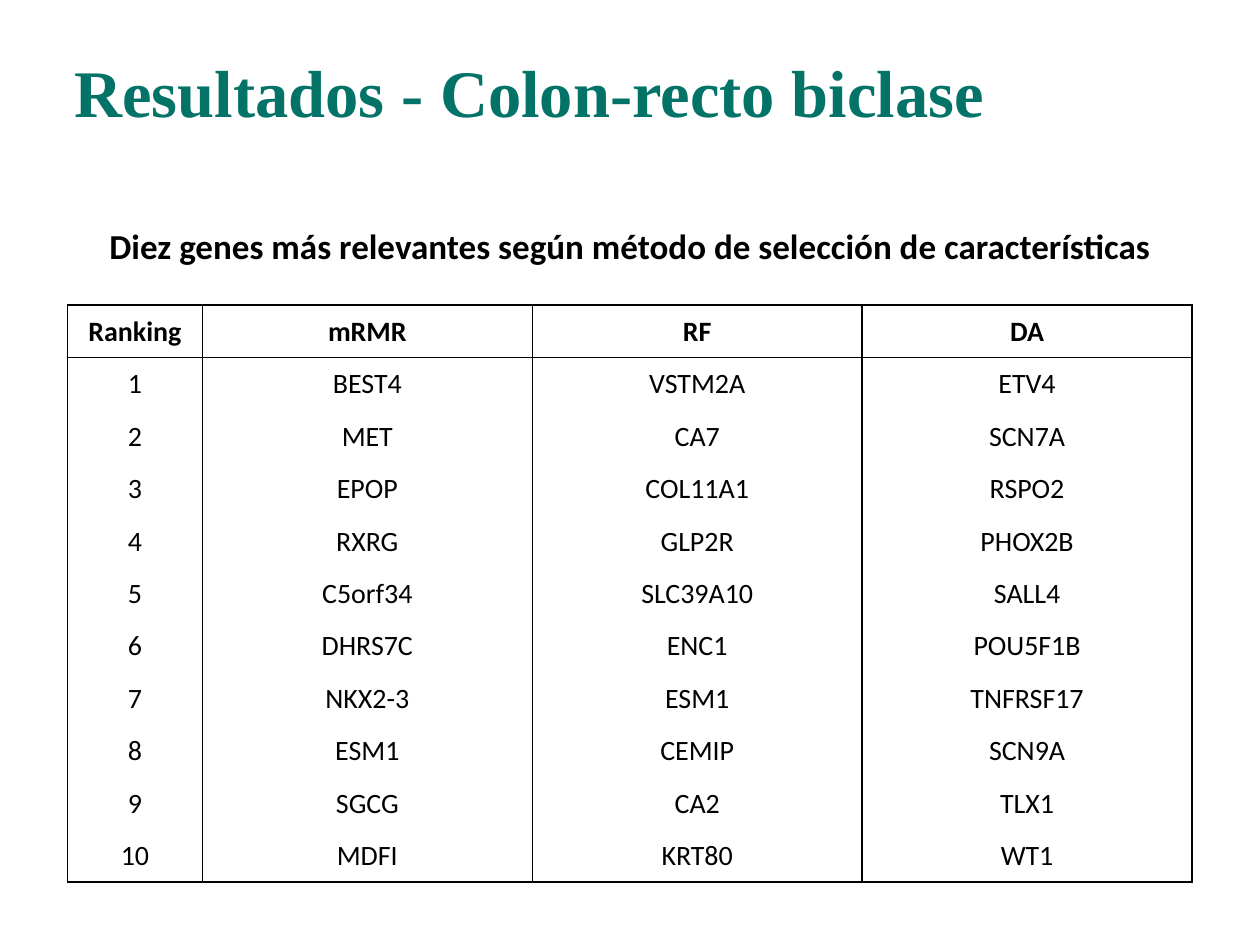
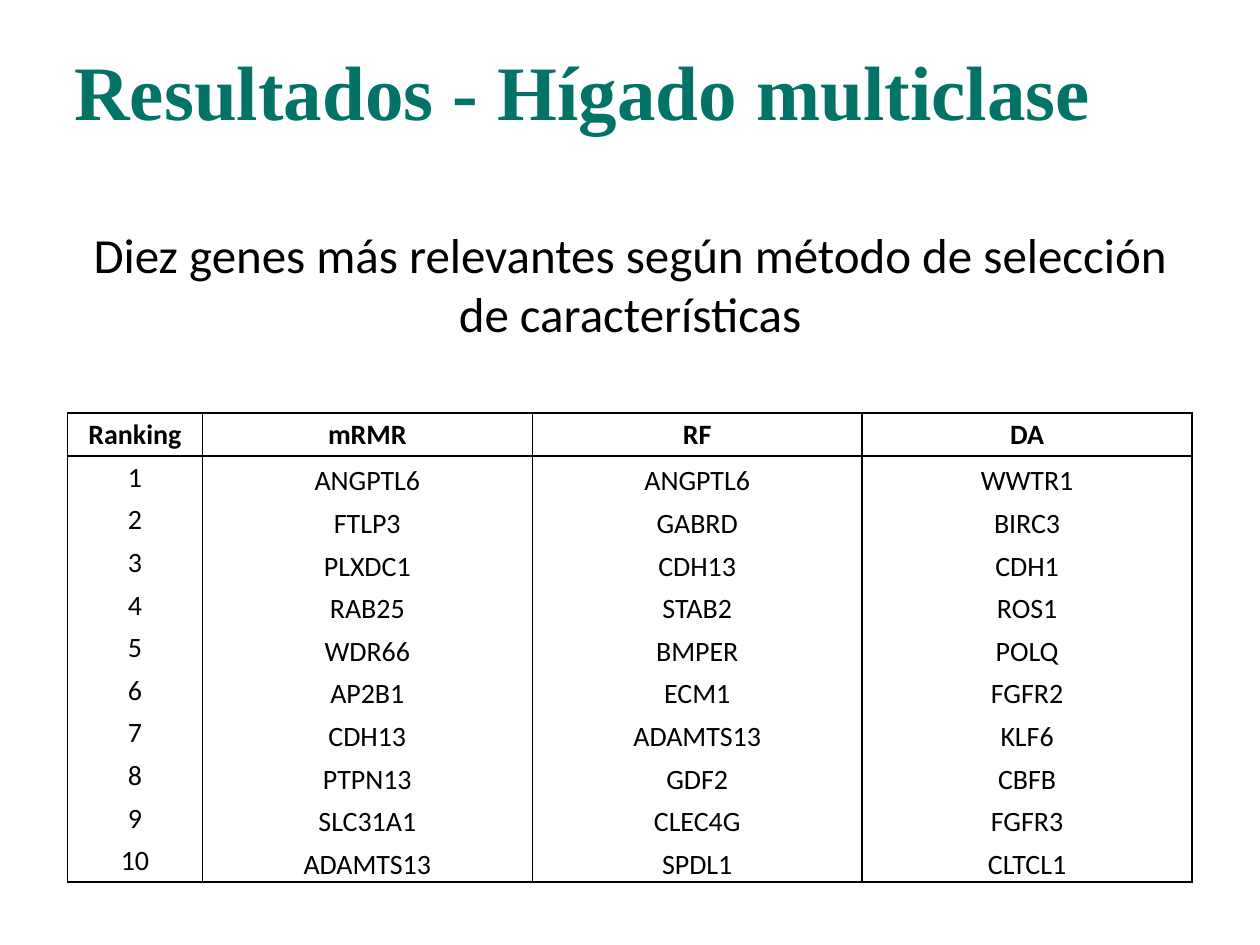
from lxml.etree import SubElement
from pptx import Presentation
from pptx.dml.color import RGBColor
from pptx.enum.text import MSO_ANCHOR as Anchor, MSO_AUTO_SIZE as AutoSize, PP_ALIGN as Align
from pptx.oxml.ns import qn
from pptx.util import Cm, Pt

GREEN = RGBColor(0x03, 0x73, 0x68)
BLACK = RGBColor(0, 0, 0)

SLIDE_WIDTH, SLIDE_HEIGHT = Cm(25.4), Cm(19.05)
TITLE_BOX = dict(left=0, top=0, width=SLIDE_WIDTH, height=Cm(3.4))
CAPTION_BOX = dict(left=0, top=Cm(4.4), width=SLIDE_WIDTH, height=Cm(13.74))
TITLE_FRAME = dict(
    margin_left=Cm(1.5), margin_top=Cm(0.6), margin_right=Cm(0.25), margin_bottom=Cm(0.13),
    vertical_anchor=Anchor.MIDDLE, word_wrap=True, auto_size=AutoSize.NONE,
)
CAPTION_FRAME = dict(
    margin_left=Cm(1.5), margin_top=Cm(0.13), margin_right=Cm(1.5), margin_bottom=Cm(0.13),
    vertical_anchor=Anchor.TOP, word_wrap=True, auto_size=AutoSize.NONE,
)
CELL_MARGINS = dict(
    margin_left=Cm(0.02), margin_top=Cm(0.02), margin_right=Cm(0.02), margin_bottom=0,
)

TABLE_LEFT, TABLE_BOTTOM = Cm(1.36), Cm(17.78)
COLUMN_WIDTHS = [Cm(2.72)] + [Cm(6.65)] * 3
HEADINGS = ["Ranking", "mRMR", "RF", "DA"]
CAPTION = "Diez genes más relevantes según método de selección de características"

COLON_GENES = [
    "BEST4 MET EPOP RXRG C5orf34 DHRS7C NKX2-3 ESM1 SGCG MDFI".split(),
    "VSTM2A CA7 COL11A1 GLP2R SLC39A10 ENC1 ESM1 CEMIP CA2 KRT80".split(),
    "ETV4 SCN7A RSPO2 PHOX2B SALL4 POU5F1B TNFRSF17 SCN9A TLX1 WT1".split(),
]
LIVER_GENES = [
    "ANGPTL6 FTLP3 PLXDC1 RAB25 WDR66 AP2B1 CDH13 PTPN13 SLC31A1 ADAMTS13".split(),
    "ANGPTL6 GABRD CDH13 STAB2 BMPER ECM1 ADAMTS13 GDF2 CLEC4G SPDL1".split(),
    "WWTR1 BIRC3 CDH1 ROS1 POLQ FGFR2 KLF6 CBFB FGFR3 CLTCL1".split(),
]


def apply_format(target, values):
    for attribute, value in values.items():
        setattr(target, attribute, value)


def write_text(frame, text, paragraph_format, font_format, color):
    paragraph = frame.paragraphs[0]
    apply_format(paragraph, paragraph_format)
    run = paragraph.add_run()
    run.text = text
    apply_format(run.font, font_format)
    run.font.color.rgb = color


def add_title(slide, text, size):
    title = slide.shapes.title
    apply_format(title, TITLE_BOX)
    apply_format(title.text_frame, TITLE_FRAME)
    write_text(title.text_frame, text, dict(alignment=Align.LEFT, line_spacing=0.9),
               dict(name="Times New Roman", size=Pt(size), bold=True), GREEN)


def add_caption(slide, size, bold):
    caption = slide.placeholders[1]
    apply_format(caption, CAPTION_BOX)
    apply_format(caption.text_frame, CAPTION_FRAME)
    properties = caption.text_frame.paragraphs[0]._p.get_or_add_pPr()
    properties.set("marL", "0")
    properties.set("indent", "0")
    SubElement(properties, qn("a:buNone"))
    write_text(caption.text_frame, CAPTION, dict(alignment=Align.CENTER, space_before=Pt(0)),
               dict(name="Calibri", size=Pt(size), bold=bold), BLACK)


def set_borders(cell, ruled_sides):
    properties = cell._tc.get_or_add_tcPr()
    for position, side in enumerate("LRTB"):
        border = SubElement(properties, qn(f"a:ln{side}"), w=str(Pt(1)))
        if side in ruled_sides:
            fill = SubElement(border, qn("a:solidFill"))
            SubElement(fill, qn("a:srgbClr"), val=str(BLACK))
        else:
            SubElement(border, qn("a:noFill"))
        properties.insert(position, border)


def add_gene_table(slide, genes, top, gene_anchor):
    rankings = range(1, len(genes[0]) + 1)
    rows = [HEADINGS, *zip(map(str, rankings), *genes)]
    height = TABLE_BOTTOM - top
    table = slide.shapes.add_table(len(rows), len(HEADINGS), TABLE_LEFT, top,
                                   sum(COLUMN_WIDTHS), height).table
    apply_format(table, dict(first_row=False, horz_banding=False))
    for column, width in zip(table.columns, COLUMN_WIDTHS):
        column.width = width
    for row_index, texts in enumerate(rows):
        table.rows[row_index].height = height // len(rows)
        is_heading = row_index == 0
        ruled_sides = "LR"
        if row_index <= 1:
            ruled_sides += "T"
        if is_heading or row_index == len(rows) - 1:
            ruled_sides += "B"
        for column_index, text in enumerate(texts):
            cell = table.cell(row_index, column_index)
            is_gene = not is_heading and column_index > 0
            apply_format(cell, CELL_MARGINS)
            cell.vertical_anchor = gene_anchor if is_gene else Anchor.MIDDLE
            cell.fill.background()
            set_borders(cell, ruled_sides)
            write_text(cell.text_frame, text, dict(alignment=Align.CENTER),
                       dict(name="Calibri", size=Pt(16), bold=is_heading), BLACK)


def add_results_slide(deck, title, title_size, caption_size, caption_bold,
                      genes, table_top, gene_anchor):
    slide = deck.slides.add_slide(deck.slide_layouts[1])
    add_title(slide, title, title_size)
    add_caption(slide, caption_size, caption_bold)
    add_gene_table(slide, genes, table_top, gene_anchor)


def main():
    deck = Presentation()
    apply_format(deck, dict(slide_width=SLIDE_WIDTH, slide_height=SLIDE_HEIGHT))
    add_results_slide(deck, "Resultados - Colon-recto biclase", 38, 20, True,
                      COLON_GENES, Cm(6.15), Anchor.MIDDLE)
    add_results_slide(deck, "Resultados - Hígado multiclase", 44, 28, False,
                      LIVER_GENES, Cm(8.33), Anchor.BOTTOM)
    deck.save("out.pptx")


if __name__ == "__main__":
    main()
